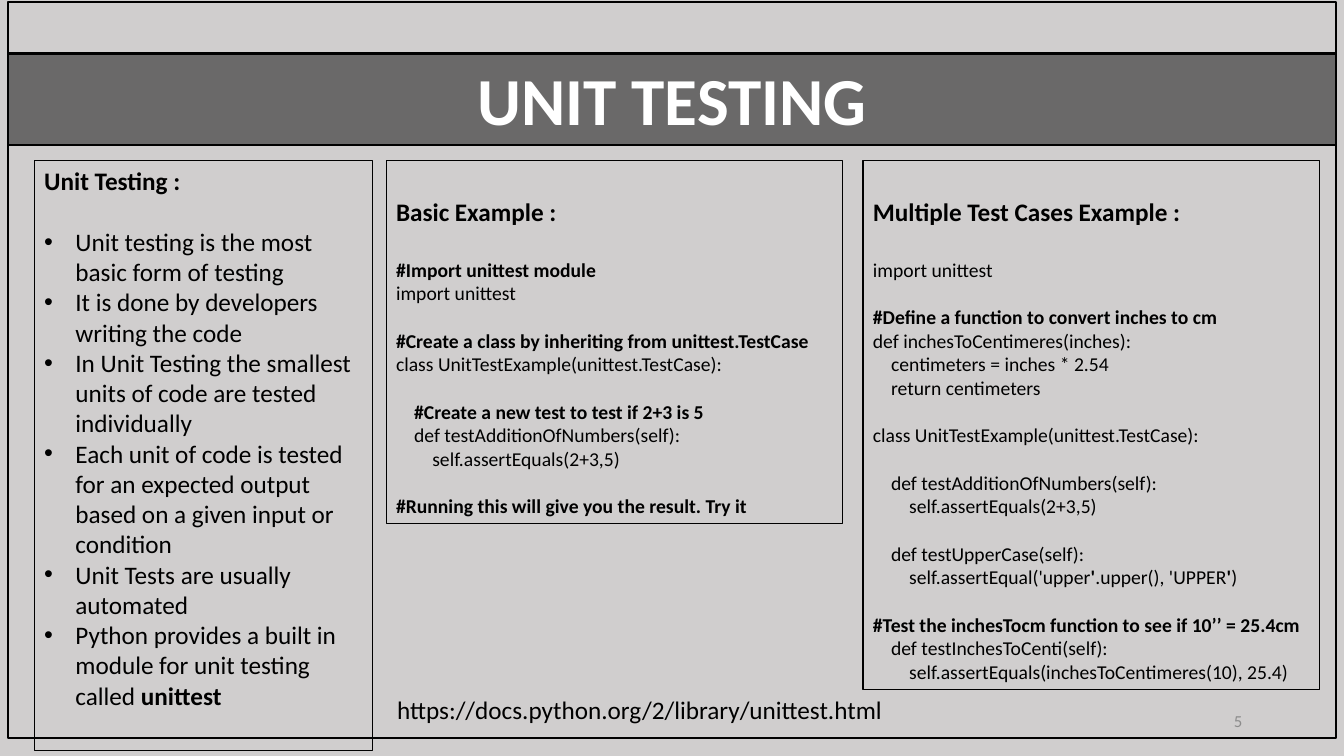
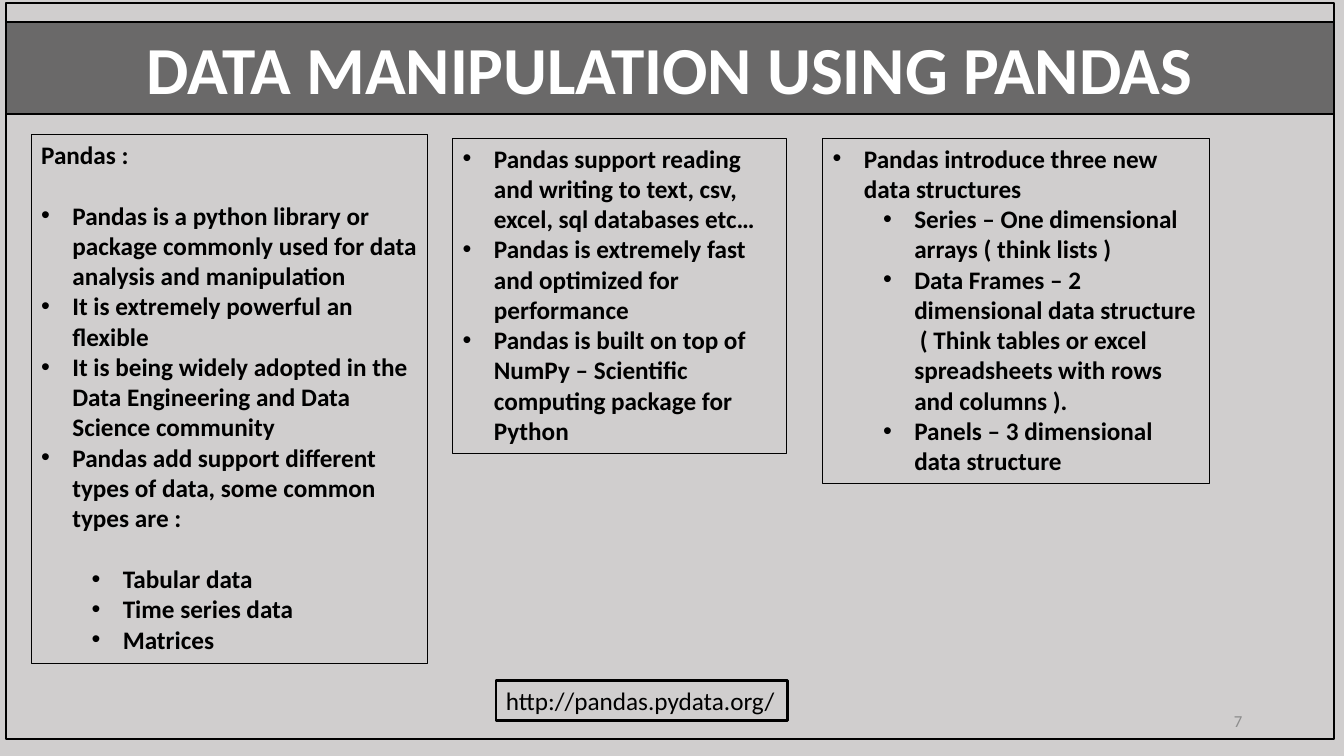
from dataclasses import dataclass
from functools import partial

from lxml import etree
from pptx import Presentation
from pptx.dml.color import RGBColor
from pptx.enum.shapes import MSO_SHAPE
from pptx.enum.text import MSO_ANCHOR, PP_ALIGN
from pptx.oxml.ns import qn
from pptx.util import Inches, Pt

BACKGROUND = RGBColor(0xD0, 0xCE, 0xCE)
BLACK = RGBColor(0x00, 0x00, 0x00)
WHITE = RGBColor(0xFF, 0xFF, 0xFF)
GREY = RGBColor(0x8C, 0x8C, 0x8C)
RECTANGLE = MSO_SHAPE.RECTANGLE
TOP, MIDDLE = MSO_ANCHOR.TOP, MSO_ANCHOR.MIDDLE
LEFT, CENTER, RIGHT = PP_ALIGN.LEFT, PP_ALIGN.CENTER, PP_ALIGN.RIGHT
FONT = "Calibri"
THIN, THICK = 0.75, 1.75
BODY_GAP, CODE_GAP = 22, 17.1
BULLET_INDENT, BULLET_STEP, CODE_STEP = 0.31, 0.5, 0.18
INSET, LOWERED_INSET = 0.05, 0.36


@dataclass
class Line:
    text: str | list
    bold: bool = False
    size: int = 18
    color: RGBColor = BLACK
    align: PP_ALIGN = LEFT
    level: int = 0
    bullet: bool = False
    gap: float = 0

    def runs(self):
        return [(self.text, self.bold)] if isinstance(self.text, str) else self.text


Heading = partial(Line, bold=True)
Bullet = partial(Line, bullet=True)
BoldBullet = partial(Bullet, bold=True)
Code = partial(Line, size=14)
Remark = partial(Code, bold=True)


class Deck:
    """Holds the shared style and the slide being built."""

    def __init__(self):
        self.presentation = Presentation()
        self.presentation.slide_width = Inches(13.33)
        self.presentation.slide_height = Inches(7.5)
        fill = self.presentation.slide_master.background.fill
        fill.solid()
        fill.fore_color.rgb = BACKGROUND
        self.slide = None

    def add_slide(self, title, number, left, frame_top, band_top):
        self.slide = self.presentation.slides.add_slide(self.presentation.slide_layouts[6])
        self.panel(left, frame_top, 13.17, 7.3, [], THICK)
        band = self.panel(left, band_top, 13.17, 0.91,
                          [Heading(title, size=48, color=WHITE, align=CENTER)], THICK)
        band.fill.solid()
        band.fill.fore_color.rgb = BLACK
        color = band._element.spPr.find(qn("a:solidFill"))[0]
        etree.SubElement(color, qn("a:alpha"), val="49000")
        self.text(9.42, 6.95, 3, 0.4,
                  [Line(number, size=12, color=GREY, align=RIGHT)], anchor=MIDDLE)

    def panel(self, left, top, width, height, lines, border=THIN, inset=INSET):
        shape = self.slide.shapes.add_shape(
            RECTANGLE, Inches(left), Inches(top), Inches(width), Inches(height))
        shape.shadow.inherit = False
        shape.fill.background()
        shape.line.color.rgb = BLACK
        shape.line.width = Pt(border)
        self.fill_frame(shape.text_frame, lines, inset=inset)
        return shape

    def text(self, left, top, width, height, lines, anchor=TOP, wrap=True):
        box = self.slide.shapes.add_textbox(
            Inches(left), Inches(top), Inches(width), Inches(height))
        self.fill_frame(box.text_frame, lines, anchor, wrap)

    def fill_frame(self, frame, lines, anchor=TOP, wrap=True, inset=INSET):
        frame.word_wrap = wrap
        frame.vertical_anchor = anchor
        frame.margin_top = Inches(inset)
        for index, line in enumerate(lines):
            paragraph = frame.add_paragraph() if index else frame.paragraphs[0]
            paragraph.alignment = line.align
            paragraph.space_before = Pt(line.gap)
            self.indent(paragraph, line)
            for text, bold in line.runs():
                run = paragraph.add_run()
                run.text = text
                run.font.name = FONT
                run.font.size = Pt(line.size)
                run.font.bold = bold
                run.font.color.rgb = line.color

    def indent(self, paragraph, line):
        properties = paragraph._p.get_or_add_pPr()
        if line.bullet:
            paragraph.level = line.level
            properties.set("marL", str(Inches(BULLET_INDENT + BULLET_STEP * line.level)))
            properties.set("indent", str(-Inches(BULLET_INDENT)))
            etree.SubElement(properties, qn("a:buFont"), typeface="Arial")
            etree.SubElement(properties, qn("a:buChar"), char="•")
        elif line.level:
            properties.set("marL", str(Inches(CODE_STEP * line.level)))


def add_unit_testing(deck):
    deck.add_slide("UNIT TESTING", "5", 0.08, 0.02, 0.53)
    deck.panel(3.83, 1.59, 4.53, 3.6, [
        Heading("Basic Example :"),
        Remark("#Import unittest module", gap=BODY_GAP),
        Code("import unittest"),
        Remark("#Create a class by inheriting from unittest.TestCase", gap=CODE_GAP),
        Code("class UnitTestExample(unittest.TestCase):"),
        Remark("#Create a new test to test if 2+3 is 5", level=1, gap=CODE_GAP),
        Code("def testAdditionOfNumbers(self):", level=1),
        Code("self.assertEquals(2+3,5)", level=2),
        Remark("#Running this will give you the result. Try it", gap=CODE_GAP),
    ], inset=LOWERED_INSET)
    deck.text(3.84, 6.84, 5.07, 0.4,
              [Line("https://docs.python.org/2/library/unittest.html")], wrap=False)
    deck.panel(0.34, 1.59, 3.36, 5.86, [
        Heading("Unit Testing :"),
        Bullet("Unit testing is the most basic form of testing", gap=BODY_GAP),
        Bullet("It is done by developers writing the code"),
        Bullet("In Unit Testing the smallest units of code are tested individually"),
        Bullet("Each unit of code is tested for an expected output based on a given "
               "input or condition"),
        Bullet("Unit Tests are usually automated"),
        Bullet([("Python provides a built in module for unit testing called ", False),
                ("unittest", True)]),
    ])
    deck.panel(8.56, 1.59, 4.53, 5.25, [
        Heading("Multiple Test Cases Example :"),
        Code("import unittest", gap=BODY_GAP),
        Remark("#Define a function to convert inches to cm", gap=CODE_GAP),
        Code("def inchesToCentimeres(inches):"),
        Code("centimeters = inches * 2.54", level=1),
        Code("return centimeters", level=1),
        Code("class UnitTestExample(unittest.TestCase):", gap=CODE_GAP),
        Code("def testAdditionOfNumbers(self):", level=1, gap=CODE_GAP),
        Code("self.assertEquals(2+3,5)", level=2),
        Code("def testUpperCase(self):", level=1, gap=CODE_GAP),
        Code([("self.assertEqual('upper", False), ("'", True),
              (".upper(), 'UPPER", False), ("'", True), (")", False)], level=2),
        Remark("#Test the inchesTocm function to see if 10’’ = 25.4cm", gap=CODE_GAP),
        Code("def testInchesToCenti(self):", level=1),
        Code("self.assertEquals(inchesToCentimeres(10), 25.4)", level=2),
    ], inset=LOWERED_INSET)


def add_pandas(deck):
    deck.add_slide("DATA MANIPULATION USING PANDAS", "7", 0.06, 0.03, 0.22)
    deck.panel(0.31, 1.33, 3.93, 5.25, [
        Heading("Pandas :"),
        BoldBullet("Pandas is a python library or package commonly used for data "
                   "analysis and manipulation", gap=BODY_GAP),
        BoldBullet("It is extremely powerful an flexible"),
        BoldBullet("It is being widely adopted in the Data Engineering and Data "
                   "Science community"),
        BoldBullet("Pandas add support different types of data, some common types are :"),
        BoldBullet("Tabular data", level=1, gap=BODY_GAP),
        BoldBullet("Time series data", level=1),
        BoldBullet("Matrices", level=1),
    ])
    deck.panel(4.49, 1.37, 3.31, 3.13, [
        BoldBullet("Pandas support reading and writing to text, csv, excel, sql "
                   "databases etc…"),
        BoldBullet("Pandas is extremely fast and optimized for performance"),
        BoldBullet("Pandas is built on top of NumPy – Scientific computing package "
                   "for Python"),
    ])
    deck.panel(4.92, 6.75, 2.89, 0.4, [Line("http://pandas.pydata.org/")], THICK)
    deck.panel(8.16, 1.37, 3.84, 3.43, [
        BoldBullet("Pandas introduce three new data structures"),
        BoldBullet("Series – One dimensional arrays ( think lists )", level=1),
        BoldBullet("Data Frames – 2 dimensional data structure  ( Think tables or excel "
                   "spreadsheets with rows and columns ).", level=1),
        BoldBullet("Panels – 3 dimensional data structure", level=1),
    ])


def main():
    deck = Deck()
    add_unit_testing(deck)
    add_pandas(deck)
    deck.presentation.save("out.pptx")


if __name__ == "__main__":
    main()
